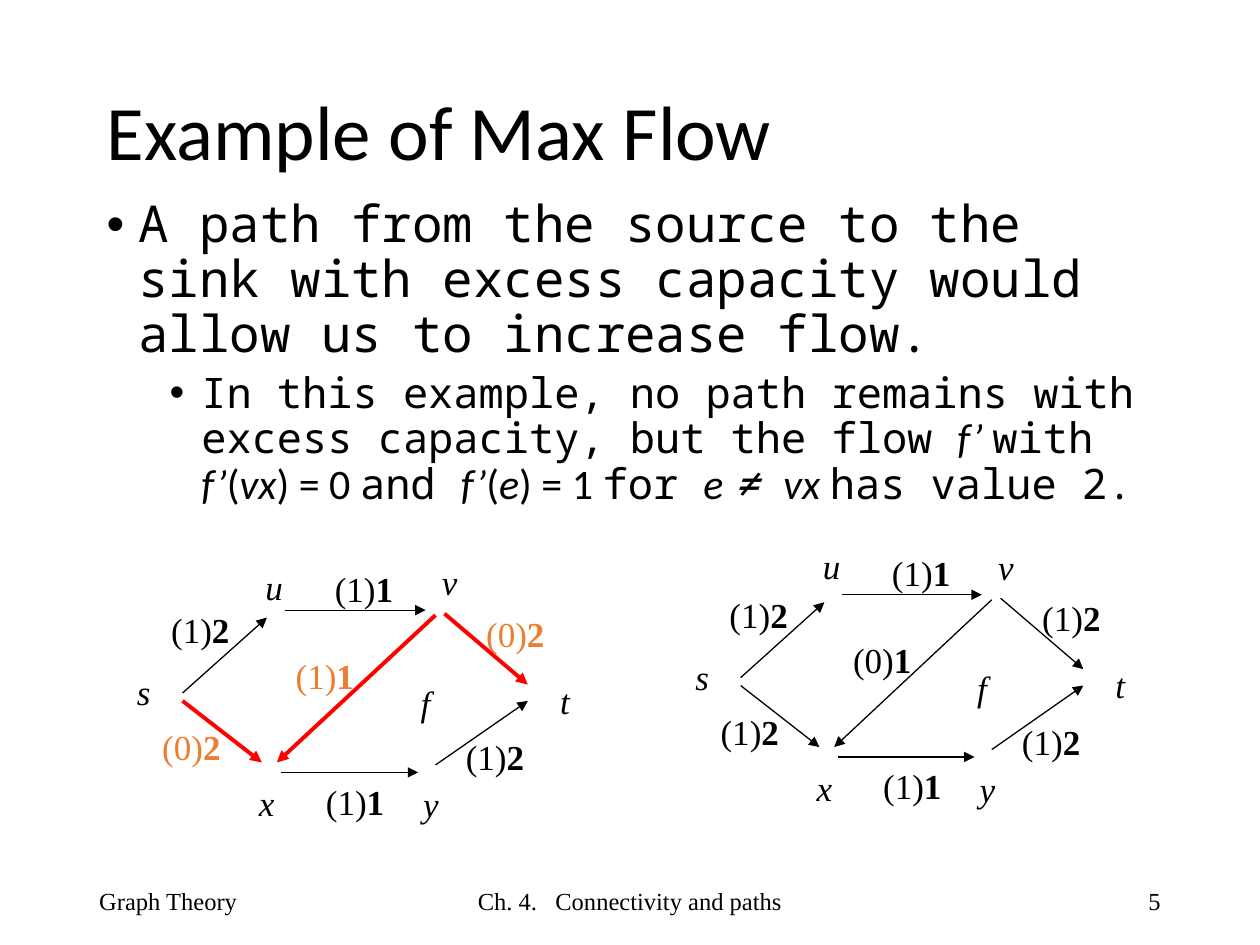
from dataclasses import dataclass

from lxml.etree import SubElement
from pptx import Presentation
from pptx.dml.color import RGBColor as RGB
from pptx.enum.shapes import MSO_CONNECTOR as CONN
from pptx.enum.text import MSO_ANCHOR as ANCHOR, PP_ALIGN as ALIGN
from pptx.oxml.ns import qn
from pptx.util import Cm, Pt


@dataclass(frozen=True)
class Theme:
    ink: RGB = RGB(0x00, 0x00, 0x00)
    path_line: RGB = RGB(0xFF, 0x00, 0x00)
    path_label: RGB = RGB(0xED, 0x7D, 0x31)
    sans: str = "Calibri"
    mono: str = "Noto Sans Mono"
    serif: str = "Times New Roman"
    title: float = 44
    body: float = 29
    sub: float = 24
    label: float = 20
    footer: float = 14
    thin: float = 0.75
    thick: float = 2.25


T = Theme()

EDGES = {
    "uv": (1, (3.23, 1.12), (6.07, 1.12), (3.99, 0.13)),
    "xy": (1, (3.15, 4.39), (5.92, 4.39), (3.81, 4.42)),
    "yt": (2, (6.27, 4.24), (8.13, 2.95), (6.63, 3.53)),
    "vt": (2, (6.45, 1.19), (8.13, 2.62), (7.04, 1.04)),
    "vx": (1, (6.27, 1.22), (3.07, 4.19), (3.2, 1.88)),
    "su": (2, (1.17, 2.79), (2.87, 1.27), (0.69, 0.97)),
    "sx": (2, (1.17, 2.95), (2.77, 4.19), (0.51, 3.33)),
}
NODES = {
    "s": (0, 2.21), "v": (6.15, 0), "x": (2.46, 4.45), "y": (5.77, 4.47),
    "u": (2.59, 0.1), "t": (8.53, 2.39), "f": (5.72, 2.44),
}
NETWORK_WIDTH = 9.42


def add_run(p, text, font=T.serif, size=T.label, color=T.ink, bold=False, italic=False):
    r = p.add_run()
    r.text = text
    r.font.name, r.font.size = font, Pt(size)
    r.font.bold, r.font.italic = bold, italic
    r.font.color.rgb = color


def add_text(shapes, box, runs, align=ALIGN.LEFT, anchor=ANCHOR.TOP, **fmt):
    tf = shapes.add_textbox(*map(Cm, box)).text_frame
    tf.word_wrap = True
    tf.vertical_anchor = anchor
    p = tf.paragraphs[0]
    p.alignment = align
    for text, extra in runs:
        add_run(p, text, **{**fmt, **extra})


def add_arrow(shapes, start, end, color, width):
    c = shapes.add_connector(CONN.STRAIGHT, *map(Cm, start + end))
    c.line.color.rgb = color
    c.line.width = Pt(width)
    SubElement(c.line._get_or_add_ln(), qn("a:tailEnd"), type="triangle")
    SubElement(c._element.spPr, qn("a:effectLst"))


def add_title(s, box, text):
    sp = s.shapes.title
    sp.left, sp.top, sp.width, sp.height = map(Cm, box)
    tf = sp.text_frame
    tf.vertical_anchor = ANCHOR.MIDDLE
    p = tf.paragraphs[0]
    p.alignment = ALIGN.LEFT
    p.line_spacing = 0.9
    add_run(p, text, font=T.sans, size=T.title)


def add_body(s, box, paragraphs):
    tf = s.shapes.add_textbox(*map(Cm, box)).text_frame
    tf.word_wrap = True
    for i, (level, size, runs) in enumerate(paragraphs):
        p = tf.add_paragraph() if i else tf.paragraphs[0]
        pPr = p._p.get_or_add_pPr()
        pPr.set("marL", str(Cm(0.64 + 1.27 * level)))
        pPr.set("indent", str(-Cm(0.64)))
        SubElement(pPr, qn("a:buFont"), typeface="Arial")
        SubElement(pPr, qn("a:buChar"), char="•")
        p.level = level
        p.line_spacing = 0.9
        p.space_before = Pt(5 if i else 0)
        for text, font, italic in runs:
            add_run(p, text, font=font, size=size, italic=italic)


def add_network(s, box, flows, path=(), u_rise=0):
    left, top, width = box
    scale = width / NETWORK_WIDTH
    shapes = s.shapes.add_group_shape().shapes

    def place(point):
        return left + point[0] * scale, top + point[1]

    for edge, (_, start, end, _) in EDGES.items():
        color, weight = (T.path_line, T.thick) if edge in path else (T.ink, T.thin)
        add_arrow(shapes, place(start), place(end), color, weight)
    for edge, (capacity, _, _, at) in EDGES.items():
        add_text(shapes, (*place(at), 2 * scale, 1.09),
                 [(f"({flows.get(edge, 1)})", {}), (str(capacity), {"bold": True})],
                 color=T.path_label if edge in path else T.ink)
    for name, at in NODES.items():
        x, y = place(at)
        rise = u_rise if name == "u" else 0
        add_text(shapes, (x, y - rise, 0.81 if name == "f" else 0.89, 1.09),
                 [(name, {"italic": True})])


def add_footer(s, box):
    left, top, width, height = box
    side, middle = 5.72, 8.58
    parts = (
        ("Graph Theory", left, side, ALIGN.LEFT),
        ("Ch. 4.   Connectivity and paths", left + (width - middle) / 2, middle, ALIGN.CENTER),
        ("5", left + width - side, side, ALIGN.RIGHT),
    )
    for text, x, w, align in parts:
        add_text(s.shapes, (x, top, w, height), [(text, {})],
                 align=align, anchor=ANCHOR.MIDDLE, size=T.footer)


def main():
    prs = Presentation()
    prs.slide_width, prs.slide_height = Cm(25.4), Cm(19.05)
    s = prs.slides.add_slide(prs.slide_layouts[5])

    add_footer(s, (1.75, 17.65, 21.9, 1.02))
    add_title(s, (1.9, 1.7, 21.6, 2.08), "Example of Max Flow")
    add_body(s, (1.9, 3.89, 21.6, 7), [
        (0, T.body, [
            ("A path from the source to the sink with excess capacity "
             "would allow us to increase flow.", T.mono, False),
        ]),
        (1, T.sub, [
            ("In this example, no path remains with excess capacity, "
             "but the flow ", T.mono, False),
            ("f’ ", T.sans, True),
            ("with ", T.mono, False),
            ("f’", T.sans, True),
            ("(", T.sans, False),
            ("vx", T.sans, True),
            (") = 0 ", T.sans, False),
            ("and ", T.mono, False),
            ("f’", T.sans, True),
            ("(", T.sans, False),
            ("e", T.sans, True),
            (") = 1 ", T.sans, False),
            ("for ", T.mono, False),
            ("e ", T.sans, True),
            ("≠ ", T.mono, True),
            ("vx ", T.sans, True),
            ("has value 2.", T.mono, False),
        ]),
    ])
    add_network(s, (2.51, 11.18, 9.42), {"vt": 0, "sx": 0}, path=("vx", "vt", "sx"))
    add_network(s, (13.77, 10.87, 9.35), {"vx": 0}, u_rise=0.12)
    prs.save("out.pptx")


if __name__ == "__main__":
    main()
